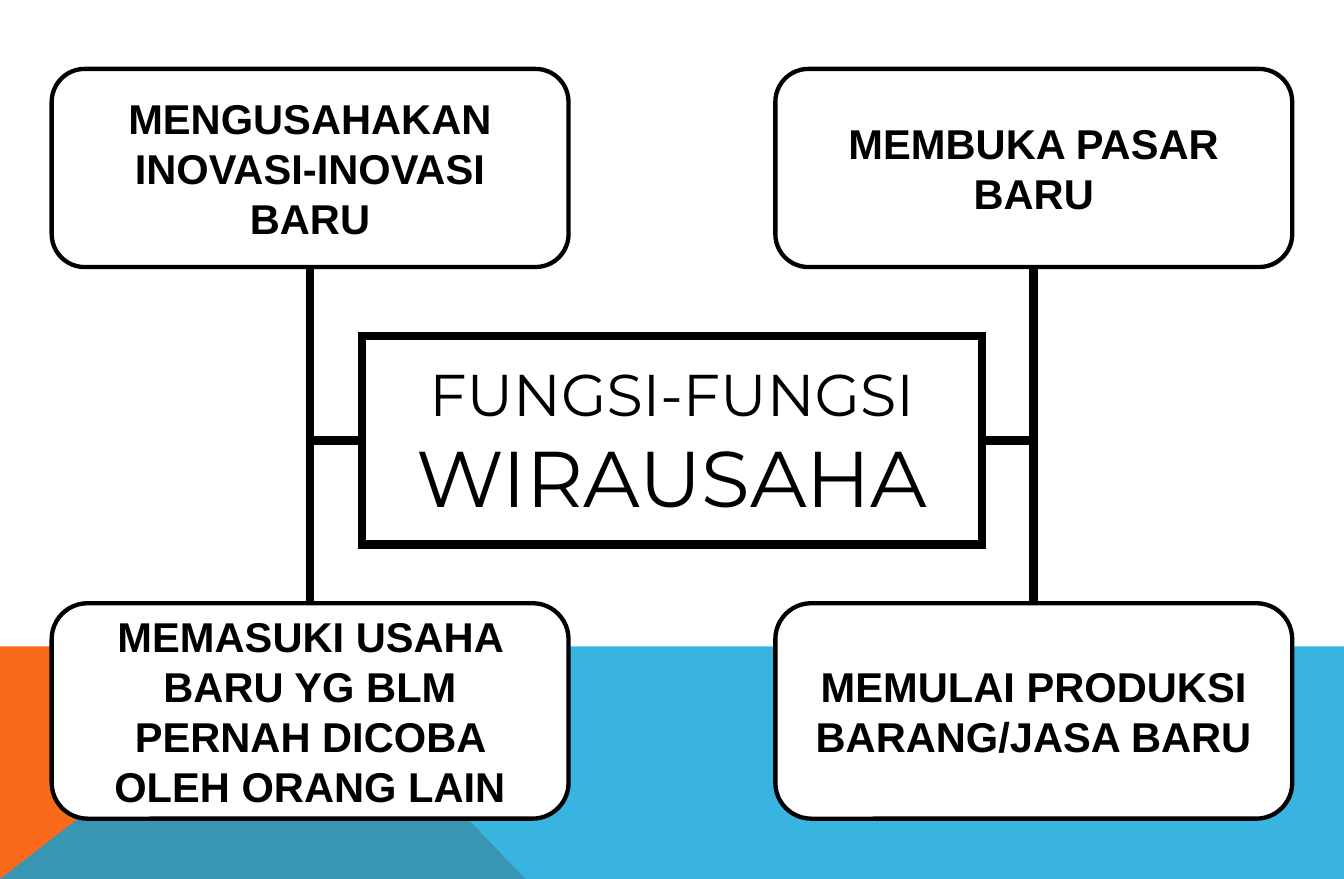
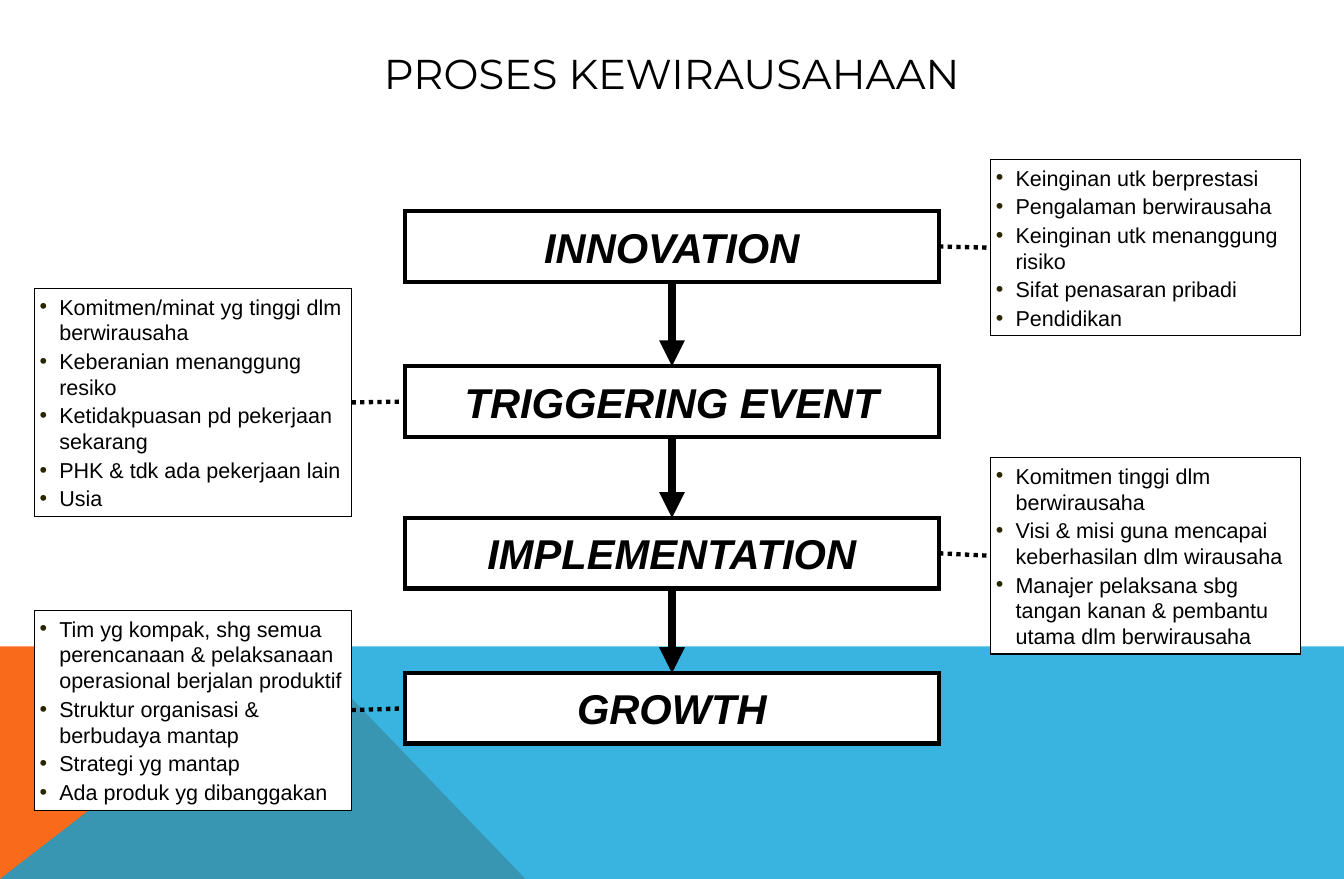
from dataclasses import dataclass
from typing import Any

import pptx
import pptx.dml.color
import pptx.enum.dml
import pptx.enum.shapes
import pptx.enum.text
import pptx.oxml
import pptx.oxml.ns
import pptx.util
from lxml import etree

# Colours and fonts
BLACK = pptx.dml.color.RGBColor(0x00, 0x00, 0x00)
WHITE = pptx.dml.color.RGBColor(0xFF, 0xFF, 0xFF)
ORANGE = pptx.dml.color.RGBColor(0xF9, 0x6A, 0x1B)
BLUE = pptx.dml.color.RGBColor(0x08, 0xA1, 0xD9)
BULLET = pptx.dml.color.RGBColor(0x28, 0x25, 0x01)
BODY_FONT, TITLE_FONT = "Arial", "Montserrat"

# Grid: twelve cells to the inch
COLUMNS, ROWS = 156, 102
CELL = pptx.util.Inches(1) / 12
TOP, LEFT, BOTTOM, RIGHT = range(4)

SHAPES = pptx.enum.shapes.MSO_SHAPE
CONNECTORS = pptx.enum.shapes.MSO_CONNECTOR
ALIGN = pptx.enum.text.PP_ALIGN
ANCHOR = pptx.enum.text.MSO_ANCHOR

FUNCTION_FONT = {"name": BODY_FONT, "size": pptx.util.Pt(29), "bold": True}
STEP_FONT = {**FUNCTION_FONT, "italic": True}
NOTE_FONT = {"name": BODY_FONT, "size": pptx.util.Pt(15)}
CENTRED = {"alignment": ALIGN.CENTER, "line_spacing": 1.0}
NOTE_PARAGRAPH = {"alignment": ALIGN.LEFT, "line_spacing": 1.0}


@dataclass(frozen=True)
class Area:
    """Place on the grid, in columns and rows."""
    column: float
    row: float
    columns: float
    rows: float

    def lengths(self) -> list[int]:
        return [cells(n) for n in (self.column, self.row, self.columns, self.rows)]


@dataclass(frozen=True)
class Function:
    text: str
    area: Area
    title_side: int
    own_side: int


@dataclass(frozen=True)
class Step:
    text: str
    row: float
    note_area: Area
    note_lines: tuple[str, ...]
    note_side: int


UPPER_ROW, LOWER_ROW = (8, 23), (70, 25)
LEFT_COLUMN, RIGHT_COLUMN = 6, 90


def function(text: str, column: int, row: tuple[int, int], title_side: int,
             own_side: int) -> Function:
    return Function(text, Area(column, row[0], 60, row[1]), title_side, own_side)


FUNCTIONS = [
    function("MENGUSAHAKAN INOVASI-INOVASI BARU", LEFT_COLUMN, UPPER_ROW, LEFT, BOTTOM),
    function("MEMBUKA PASAR BARU", RIGHT_COLUMN, UPPER_ROW, RIGHT, BOTTOM),
    function("MEMASUKI USAHA BARU YG BLM PERNAH DICOBA OLEH ORANG LAIN",
             LEFT_COLUMN, LOWER_ROW, LEFT, TOP),
    function("MEMULAI PRODUKSI BARANG/JASA BARU", RIGHT_COLUMN, LOWER_ROW, RIGHT, TOP),
]

STEPS = [
    Step("INNOVATION", 24.5, Area(115, 18.55, 36, 20.4), (
        "Keinginan utk berprestasi",
        "Pengalaman berwirausaha",
        "Keinginan utk menanggung risiko",
        "Sifat penasaran pribadi",
        "Pendidikan"), RIGHT),
    Step("TRIGGERING EVENT", 42.5, Area(4, 33.5, 36.8, 26.4), (
        "Komitmen/minat yg tinggi dlm berwirausaha",
        "Keberanian menanggung resiko",
        "Ketidakpuasan pd pekerjaan sekarang",
        "PHK & tdk ada pekerjaan lain",
        "Usia"), LEFT),
    Step("IMPLEMENTATION", 60.1, Area(115, 53.1, 36, 22.8), (
        "Komitmen tinggi dlm berwirausaha",
        "Visi & misi guna mencapai keberhasilan dlm wirausaha",
        "Manajer pelaksana sbg tangan kanan & pembantu utama dlm berwirausaha"), RIGHT),
    Step("GROWTH", 78.1, Area(4, 70.8, 36.8, 23.2), (
        "Tim yg kompak, shg semua perencanaan & pelaksanaan operasional berjalan produktif",
        "Struktur organisasi & berbudaya mantap",
        "Strategi yg mantap",
        "Ada produk yg dibanggakan"), LEFT),
]


def cells(count: float) -> int:
    return round(count * CELL)


def set_all(target: Any, values: dict[str, Any]) -> None:
    for name, value in values.items():
        setattr(target, name, value)


def add_child(parent: Any, tag: str, **attributes: str) -> Any:
    return etree.SubElement(parent, pptx.oxml.ns.qn(tag), attributes)


def set_font(font: Any, values: dict[str, Any]) -> None:
    set_all(font, values)
    font.color.rgb = BLACK


def set_frame(frame: Any, anchor: Any, side: float, end: float) -> None:
    """Wrap the text, with inner margins in inches."""
    margins = {f"margin_{edge}": pptx.util.Inches(side) for edge in ("left", "right")}
    margins |= {f"margin_{edge}": pptx.util.Inches(end) for edge in ("top", "bottom")}
    set_all(frame, {"word_wrap": True, "auto_size": pptx.enum.text.MSO_AUTO_SIZE.NONE,
                    "vertical_anchor": anchor, **margins})


def set_outline(shape: Any, width: float) -> None:
    """White fill and a black outline with sharp corners."""
    shape.fill.solid()
    shape.fill.fore_color.rgb = WHITE
    shape.line.color.rgb = BLACK
    shape.line.width = pptx.util.Pt(width)
    add_child(shape.line._get_or_add_ln(), "a:miter", lim="800000")


def add_box(slide: Any, kind: Any, area: Area, width: float) -> Any:
    box = slide.shapes.add_shape(kind, *area.lengths())
    box.shadow.inherit = False
    set_outline(box, width)
    return box


def write_label(box: Any, text: str, font: dict[str, Any]) -> None:
    paragraph = box.text_frame.paragraphs[0]
    paragraph.text = text
    set_all(paragraph, CENTRED)
    set_font(paragraph.font, font)


def add_note(slide: Any, area: Area, lines: tuple[str, ...]) -> Any:
    note = add_box(slide, SHAPES.RECTANGLE, area, 0.75)
    frame = note.text_frame
    set_frame(frame, ANCHOR.MIDDLE, 0.05, 0.05)
    for index, line in enumerate(lines):
        paragraph = frame.add_paragraph() if index else frame.paragraphs[0]
        paragraph.text = line
        properties = paragraph._p.get_or_add_pPr()
        indent = pptx.util.Inches(0.19)
        properties.set("marL", str(indent))
        properties.set("indent", str(-indent))
        add_child(add_child(properties, "a:buClr"), "a:srgbClr", val=str(BULLET))
        add_child(properties, "a:buFont", typeface=BODY_FONT)
        add_child(properties, "a:buChar", char="•")
        set_all(paragraph, NOTE_PARAGRAPH)
        if index:
            paragraph.space_before = pptx.util.Pt(1.9)
        set_font(paragraph.font, NOTE_FONT)
    return note


def join(slide: Any, kind: Any, start: Any, start_side: int, end: Any, end_side: int,
         width: float) -> Any:
    link = slide.shapes.add_connector(kind, 0, 0, 0, 0)
    link.begin_connect(start, start_side)
    link.end_connect(end, end_side)
    link.line.color.rgb = BLACK
    link.line.width = pptx.util.Pt(width)
    add_child(link._element.spPr, "a:effectLst")
    return link


def add_band(slide: Any, points: list[tuple[float, float]], colour: Any) -> Any:
    outline = slide.shapes.build_freeform(*points[0], scale=CELL)
    outline.add_line_segments(points[1:], close=True)
    band = outline.convert_to_shape()
    band.shadow.inherit = False
    band.fill.solid()
    band.fill.fore_color.rgb = colour
    band.line.fill.background()
    return band


def add_slide(deck: Any) -> Any:
    """Title-only slide with the bands along its foot."""
    slide = deck.slides.add_slide(deck.slide_layouts[5])
    band_row, peak, foot = 75.12, 34.8, 61
    add_band(slide, [(0, ROWS), (0, band_row), (peak, band_row), (foot, ROWS)], ORANGE)
    blue = add_band(slide, [(0, ROWS), (peak, band_row), (COLUMNS, band_row),
                            (COLUMNS, ROWS)], BLUE)
    colour = blue._element.spPr.find(".//" + pptx.oxml.ns.qn("a:srgbClr"))
    add_child(colour, "a:alpha", val="80000")
    return slide


def set_title(slide: Any, area: Area, runs: list[tuple[str, float]], anchor: Any,
              side: float, end: float) -> Any:
    title = slide.shapes.title
    set_all(title, dict(zip(("left", "top", "width", "height"), area.lengths())))
    set_frame(title.text_frame, anchor, side, end)
    paragraph = title.text_frame.paragraphs[0]
    paragraph.alignment = ALIGN.CENTER
    for text, size in runs:
        run = paragraph.add_run()
        run.text = text
        set_font(run.font, {"name": TITLE_FONT, "size": pptx.util.Pt(size)})
    return title


def build_functions(deck: Any) -> None:
    slide = add_slide(deck)
    title = set_title(slide, Area(42, 39, 72, 24.2),
                      [("FUNGSI-FUNGSI ", 41), ("WIRAUSAHA", 55)], ANCHOR.MIDDLE, 0.2, 0.2)
    set_outline(title, 6)
    for item in FUNCTIONS:
        box = add_box(slide, SHAPES.ROUNDED_RECTANGLE, item.area, 3)
        set_frame(box.text_frame, ANCHOR.MIDDLE, 0.1, 0.05)
        write_label(box, item.text, FUNCTION_FONT)
        link = join(slide, CONNECTORS.ELBOW, title, item.title_side, box, item.own_side, 6)
        # One bend: sideways from the title, then up or down
        link._element.spPr.prstGeom.set("prst", "bentConnector2")


def build_process(deck: Any) -> None:
    slide = add_slide(deck)
    set_title(slide, Area(13, 5, 130, 10), [("PROSES KEWIRAUSAHAAN", 29)],
              ANCHOR.TOP, 0.1, 0.05)
    previous = None
    for step in STEPS:
        box = add_box(slide, SHAPES.RECTANGLE, Area(47, step.row, 62, 8.2), 3)
        set_frame(box.text_frame, ANCHOR.MIDDLE, 0.1, 0.1)
        write_label(box, step.text, STEP_FONT)
        if previous is not None:
            arrow = join(slide, CONNECTORS.STRAIGHT, previous, BOTTOM, box, TOP, 6)
            add_child(arrow.line._get_or_add_ln(), "a:tailEnd", type="triangle")
        previous = box

        # Note beside the step
        note = add_note(slide, step.note_area, step.note_lines)
        facing_side = LEFT if step.note_side == RIGHT else RIGHT
        ends = (box, step.note_side, note, facing_side)
        if step.note_side == LEFT:
            ends = (note, facing_side, box, step.note_side)
        dots = join(slide, CONNECTORS.STRAIGHT, *ends, 3)
        dots.line.dash_style = pptx.enum.dml.MSO_LINE.ROUND_DOT


def main() -> None:
    deck = pptx.Presentation()
    deck.slide_width, deck.slide_height = cells(COLUMNS), cells(ROWS)
    build_functions(deck)
    build_process(deck)
    deck.save("out.pptx")


if __name__ == "__main__":
    main()
